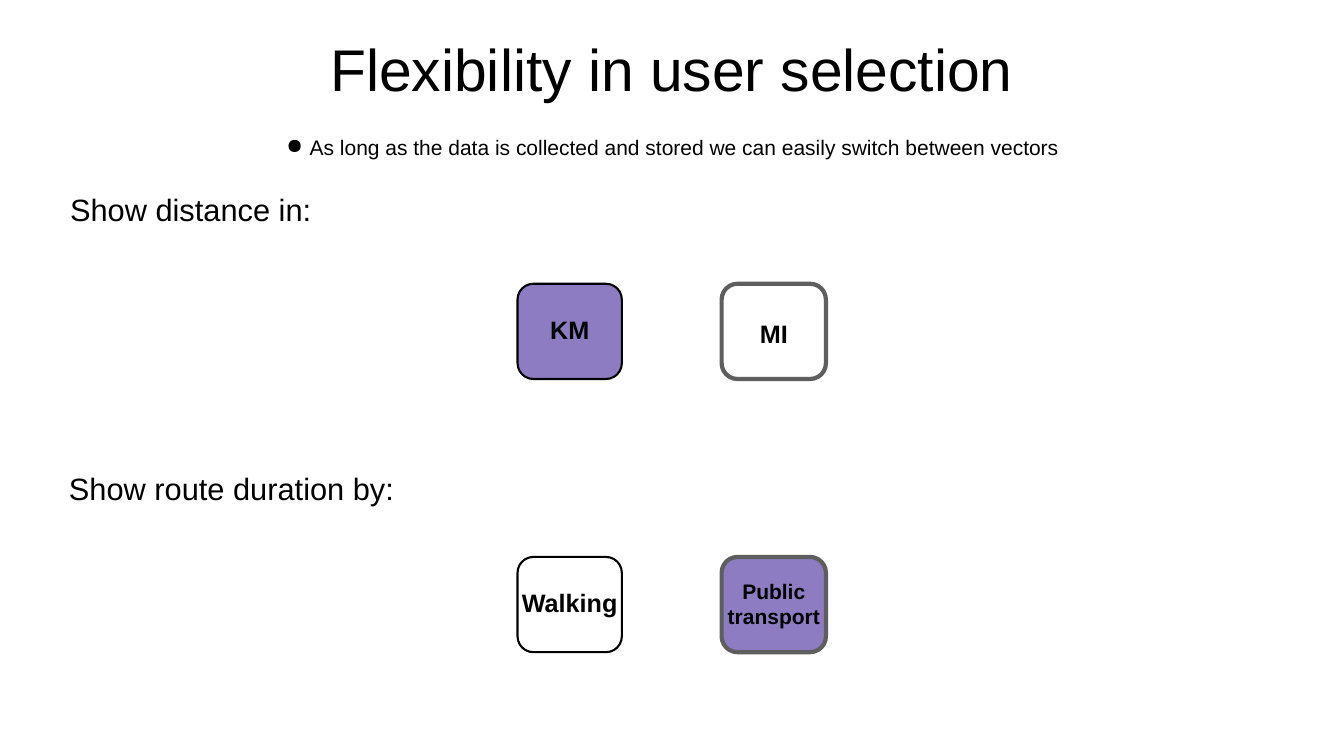
from lxml import etree
from pptx import Presentation
from pptx.dml.color import RGBColor
from pptx.enum.shapes import MSO_SHAPE
from pptx.enum.text import MSO_ANCHOR, PP_ALIGN
from pptx.oxml.ns import qn
from pptx.util import Inches, Pt

BUTTON = MSO_SHAPE.FLOWCHART_ALTERNATE_PROCESS
TOP = MSO_ANCHOR.TOP
LEFT, CENTER = PP_ALIGN.LEFT, PP_ALIGN.CENTER
FONT = "Arial"
COLORS = {"ink": "000000", "gray": "5E5E5E", "violet": "8E7CC3", "white": "FFFFFF"}


def color(name):
    """Return the palette colour of that name."""
    return RGBColor.from_string(COLORS[name])


class Deck:
    """Hold the style and the current slide."""

    def __init__(self, width, height):
        """Start a deck with one title-only slide."""
        self.prs = Presentation()
        self.prs.slide_width, self.prs.slide_height = Inches(width), Inches(height)
        self.slide = self.prs.slides.add_slide(self.prs.slide_layouts[5])

    def label(self, shape, lines, size, align=LEFT, bold=False, inset=0.1, space=1.0):
        """Fill a shape with one paragraph for each line."""
        frame = shape.text_frame
        frame.word_wrap = True
        frame.vertical_anchor = TOP
        frame.margin_left = frame.margin_right = Inches(inset)
        frame.margin_top = frame.margin_bottom = Inches(inset)
        for i, line in enumerate(lines):
            para = frame.add_paragraph() if i else frame.paragraphs[0]
            para.alignment, para.line_spacing = align, space
            run = para.add_run()
            run.text = line
            font = run.font
            font.name, font.size, font.bold = FONT, Pt(size), bold
            font.color.rgb = color("ink")

    def title(self, box, text, size):
        """Place and fill the title."""
        shape = self.slide.shapes.title
        shape.left, shape.top, shape.width, shape.height = map(Inches, box)
        self.label(shape, [text], size, CENTER, inset=0.06, space=0.8)

    def text(self, box, lines, size, home=None, **style):
        """Add a text box to the slide or to a group."""
        shapes = (home or self.slide).shapes
        shape = shapes.add_textbox(*map(Inches, box))
        self.label(shape, lines, size, **style)
        return shape

    def bullet(self, box, text, size):
        """Add a centred bullet line."""
        shape = self.text(box, [text], size, align=CENTER, inset=0.06)
        props = shape.text_frame.paragraphs[0]._p.get_or_add_pPr()
        props.set("marL", str(Inches(0.5)))
        props.set("indent", str(Inches(-0.46)))
        tint = etree.SubElement(props, qn("a:buClr"))
        etree.SubElement(tint, qn("a:srgbClr")).set("val", COLORS["ink"])
        etree.SubElement(props, qn("a:buChar")).set("char", "●")

    def button(self, home, left, top, fill, line, weight):
        """Add a rounded button to a group."""
        box = map(Inches, (left, top, 2.07, 1.89))
        shape = home.shapes.add_shape(BUTTON, *box)
        shape.shadow.inherit = False
        if fill:
            shape.fill.solid()
            shape.fill.fore_color.rgb = color(fill)
        else:
            shape.fill.background()
        shape.line.color.rgb = color(line)
        shape.line.width = Pt(weight)

    def choice(self, top, options):
        """Add a group of two labelled buttons side by side."""
        group = self.slide.shapes.add_group_shape()
        looks = ((10.27, "ink", 3), (14.32, "gray", 6))
        for (left, line, weight), (lines, size, fill, drop, tall) in zip(looks, options):
            self.button(group, left, top, fill, line, weight)
            box = (left - 1.66, top + drop, 5.39, tall)
            self.text(box, lines, size, group, align=CENTER, bold=True)


def main():
    """Build the slide and save it."""
    deck = Deck(26.67, 15)
    deck.title((1.33, 0.85, 24, 1.89), "Flexibility in user selection", 84)
    deck.text((1.33, 3.81, 24, 9.86), ["Show distance in:"], 44, inset=0.06, space=0.9)
    deck.bullet(
        (1.33, 2.61, 24, 0.91),
        "As long as the data is collected and stored we can easily switch between vectors",
        30,
    )
    deck.text((1.27, 9.22, 10.03, 0.94), ["Show route duration by:"], 44)
    deck.choice(5.63, [
        (["KM"], 36, "violet", 0.5, 0.81),
        (["MI"], 36, "white", 0.58, 0.81),
    ])
    deck.choice(11.05, [
        (["Walking"], 36, None, 0.5, 0.81),
        (["Public", "transport"], 30, "violet", 0.33, 1.21),
    ])
    deck.prs.save("out.pptx")


if __name__ == "__main__":
    main()
